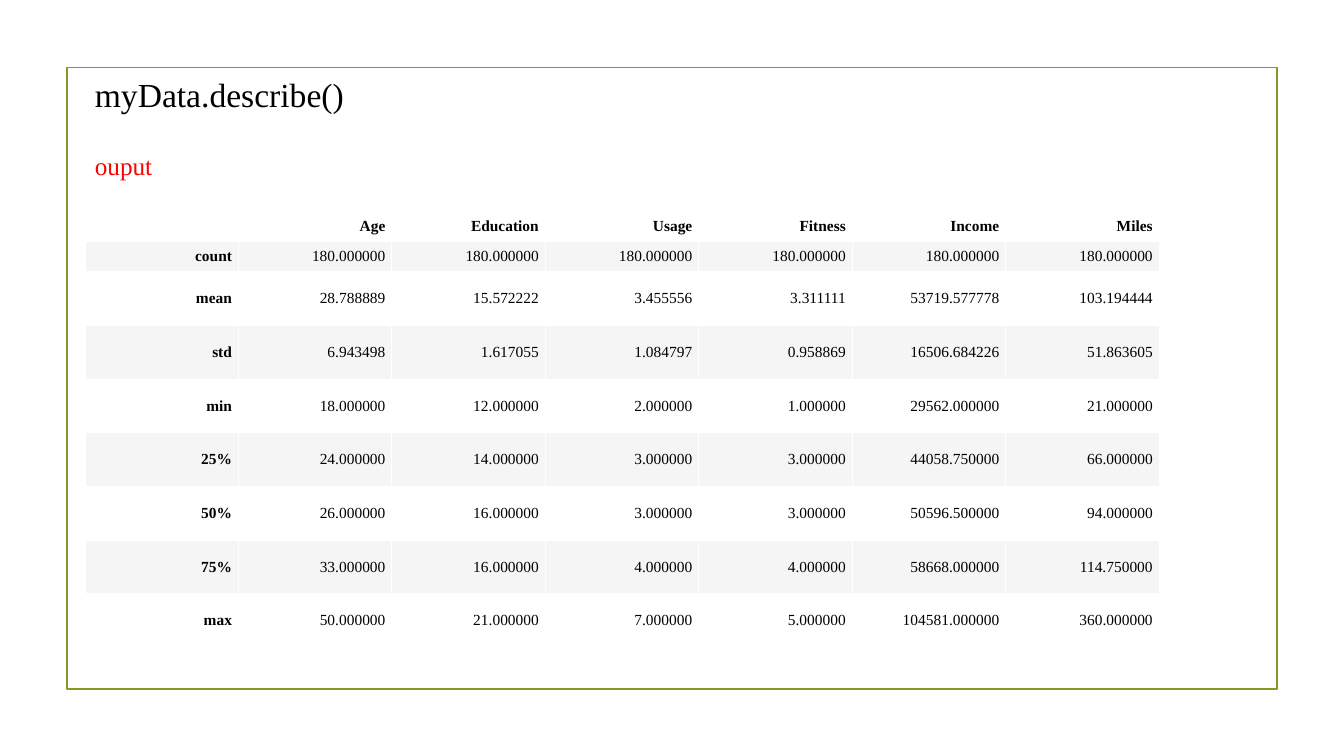
from dataclasses import dataclass

from lxml import etree
from pptx import Presentation
from pptx import util as u
from pptx.dml.color import RGBColor
from pptx.enum import shapes, text
from pptx.oxml import ns


@dataclass(frozen=True)
class Theme:
    font: str = "Times New Roman"
    ink: str = "000000"
    accent: str = "FF0000"
    frame: str = "83992A"
    bands: tuple = ("FFFFFF", "F5F5F5")
    title_size: int = 24
    label_size: int = 18
    cell_size: int = 11
    frame_width: float = 1.25


THEME = Theme()
WIDTH, HEIGHT = u.Inches(13.33), u.Inches(7.5)
LEFT = 6.32
COLUMN = 11.42
SHORT_ROW, TALL_ROW = 4.05, 7.1

HEADERS = ["", "Age", "Education", "Usage", "Fitness", "Income", "Miles"]
STATISTICS = {
    "count": [180, 180, 180, 180, 180, 180],
    "mean": [28.788889, 15.572222, 3.455556, 3.311111, 53719.577778, 103.194444],
    "std": [6.943498, 1.617055, 1.084797, 0.958869, 16506.684226, 51.863605],
    "min": [18, 12, 2, 1, 29562, 21],
    "25%": [24, 14, 3, 3, 44058.75, 66],
    "50%": [26, 16, 3, 3, 50596.5, 94],
    "75%": [33, 16, 4, 4, 58668, 114.75],
    "max": [50, 21, 7, 5, 104581, 360],
}


def across(share):
    return round(WIDTH * share / 100)


def down(share):
    return round(HEIGHT * share / 100)


def area(left, top, width, height):
    return across(left), down(top), across(width), down(height)


def style_paragraph(p, size, color, bold=False):
    for r in p.runs:
        r.font.name = THEME.font
        r.font.size = u.Pt(size)
        r.font.bold = bold
        r.font.color.rgb = RGBColor.from_string(color)
    if not p.runs:
        etree.SubElement(p._p, ns.qn("a:endParaRPr"), sz=str(size * 100))


def add_frame(slide):
    sp = slide.shapes.add_shape(shapes.MSO_SHAPE.RECTANGLE, *area(5, 8.93, 90, 82.27))
    sp.shadow.inherit = False
    sp.fill.background()
    sp.line.color.rgb = RGBColor.from_string(THEME.frame)
    sp.line.width = u.Pt(THEME.frame_width)


def add_label(slide, content, box, size, color):
    tf = slide.shapes.add_textbox(*area(*box)).text_frame
    tf.word_wrap = True
    tf.auto_size = text.MSO_AUTO_SIZE.SHAPE_TO_FIT_TEXT
    tf.text = content
    style_paragraph(tf.paragraphs[0], size, color)


def fill_cell(cell, content, band, bold):
    cell.text = content
    cell.fill.solid()
    cell.fill.fore_color.rgb = RGBColor.from_string(band)
    cell.vertical_anchor = text.MSO_ANCHOR.MIDDLE
    cell.margin_left = cell.margin_right = across(0.48)
    cell.margin_top = cell.margin_bottom = down(0.42)
    p = cell.text_frame.paragraphs[0]
    p.alignment = text.PP_ALIGN.RIGHT
    style_paragraph(p, THEME.cell_size, THEME.ink, bold)


def add_statistics(slide):
    rows = [HEADERS]
    for name, values in STATISTICS.items():
        rows.append([name] + [f"{value:.6f}" for value in values])
    heights = [SHORT_ROW] * 2 + [TALL_ROW] * (len(rows) - 2)
    box = area(LEFT, 27.87, COLUMN * len(HEADERS), sum(heights))
    table = slide.shapes.add_table(len(rows), len(HEADERS), *box).table
    table.horz_banding = table.first_row = False
    for column in table.columns:
        column.width = across(COLUMN)
    for i, (row, height) in enumerate(zip(rows, heights)):
        table.rows[i].height = down(height)
        for j, content in enumerate(row):
            fill_cell(table.cell(i, j), content, THEME.bands[i % 2], i == 0 or j == 0)


def main():
    prs = Presentation()
    prs.slide_width, prs.slide_height = WIDTH, HEIGHT
    slide = prs.slides.add_slide(prs.slide_layouts[6])
    add_frame(slide)
    add_label(slide, "myData.describe()", (LEFT, 9.1, 68.87, 6.73), THEME.title_size, THEME.ink)
    add_statistics(slide)
    add_label(slide, "ouput", (LEFT, 19.2, 21, 5.39), THEME.label_size, THEME.accent)
    prs.save("out.pptx")


if __name__ == "__main__":
    main()
